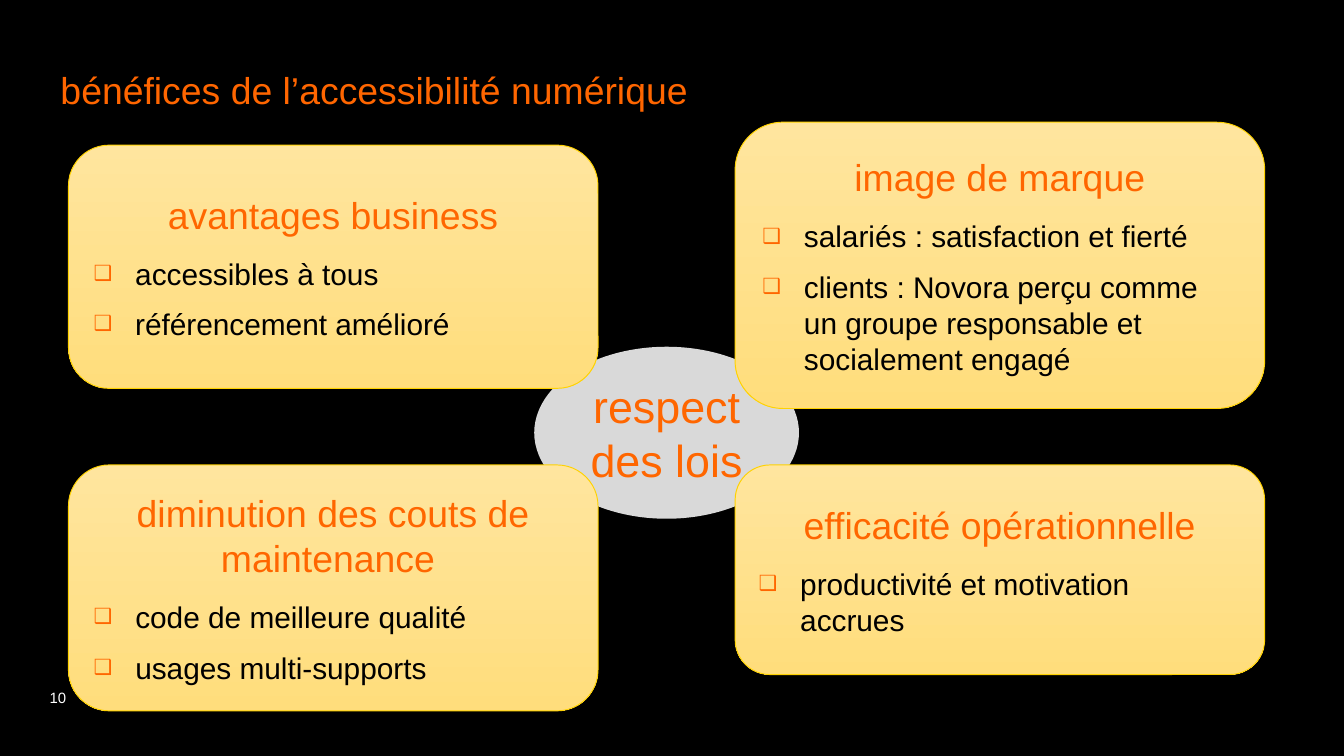
from dataclasses import dataclass

from lxml import etree
from pptx import Presentation
from pptx.dml.color import RGBColor
from pptx.enum.shapes import MSO_SHAPE
from pptx.enum.text import MSO_ANCHOR, MSO_AUTO_SIZE, PP_ALIGN
from pptx.oxml.ns import qn
from pptx.util import Inches, Pt

TITLE = "bénéfices de l’accessibilité numérique"
CENTER = "respect des lois"
PAGE_NUMBER = "10"

# column, top, height, heading, bullets
CARDS = [
    (0, 1.08, 1.81, "avantages business",
     ["accessibles à tous", "référencement amélioré"]),
    (0, 3.46, 1.83, "diminution des couts de maintenance ",
     ["code de meilleure qualité", "usages multi-supports"]),
    (1, 0.91, 2.13, "image de marque",
     ["salariés : satisfaction et fierté",
      "clients : Novora perçu comme un groupe responsable et socialement engagé"]),
    (1, 3.46, 1.56, "efficacité opérationnelle",
     ["productivité et motivation accrues"]),
]


@dataclass(frozen=True)
class Theme:
    font: str = "Arial"
    background: str = "000000"
    accent: str = "FF6600"
    body: str = "000000"
    number: str = "FFFFFF"
    oval: str = "D9D9D9"
    card_top: str = "FFE59E"
    card_bottom: str = "FFDD7C"
    card_line: str = "FFD200"
    center_size: int = 24
    heading_size: int = 20
    body_size: int = 16
    number_size: int = 8


THEME = Theme()
SLIDE_W = 10
SLIDE_H = SLIDE_W * 9 / 16
CARD_LEFT, CARD_W, COLUMN_STEP = 0.51, 3.94, 4.96
OVAL_W, OVAL_H = 1.97, 1.28
OVAL_LEFT = CARD_LEFT + (COLUMN_STEP + CARD_W - OVAL_W) / 2
BULLET_INDENT = 0.31


def rgb(value):
    return RGBColor.from_string(value)


def style(p, size, color, align=PP_ALIGN.LEFT):
    p.alignment = align
    p.font.name = THEME.font
    p.font.size = Pt(size)
    p.font.color.rgb = rgb(color)


def add_bullet(p):
    """Give the paragraph a hanging, accent-coloured box bullet."""
    pPr = p._p.get_or_add_pPr()
    pPr.set("marL", str(Inches(BULLET_INDENT)))
    pPr.set("indent", str(-Inches(BULLET_INDENT)))
    color = etree.Element(qn("a:buClr"))
    etree.SubElement(color, qn("a:srgbClr"), val=THEME.accent)
    size = etree.Element(qn("a:buSzPct"), val="70000")
    font = etree.Element(qn("a:buFont"), typeface=THEME.font)
    char = etree.Element(qn("a:buChar"), char="❑")
    # Bullet elements come after the spacing and before the run defaults.
    position = len(pPr.findall(qn("a:spcAft")))
    for offset, element in enumerate((color, size, font, char)):
        pPr.insert(position + offset, element)


def add_shape(slide, kind, left, top, width, height):
    sp = slide.shapes.add_shape(
        kind, Inches(left), Inches(top), Inches(width), Inches(height))
    sp.shadow.inherit = False
    sp.text_frame.word_wrap = True
    sp.text_frame.vertical_anchor = MSO_ANCHOR.MIDDLE
    return sp


def add_title(slide):
    title = slide.shapes.title
    title.left, title.top = Inches(0.35), Inches(0.45)
    title.width, title.height = Inches(8.83), Inches(0.44)
    tf = title.text_frame
    tf.text = TITLE
    tf.vertical_anchor = MSO_ANCHOR.TOP
    tf.auto_size = MSO_AUTO_SIZE.SHAPE_TO_FIT_TEXT
    p = tf.paragraphs[0]
    p.line_spacing = 1.0
    p.space_before = Pt(0)
    style(p, THEME.heading_size, THEME.accent)


def add_page_number(slide):
    box = slide.shapes.add_textbox(
        Inches(0.37), Inches(4.89), Inches(0.3), Inches(0.37))
    tf = box.text_frame
    tf.margin_left = tf.margin_right = tf.margin_top = tf.margin_bottom = 0
    tf.word_wrap = True
    tf.vertical_anchor = MSO_ANCHOR.BOTTOM
    p = tf.paragraphs[0]
    p.text = PAGE_NUMBER
    p.line_spacing = 0.85
    style(p, THEME.number_size, THEME.number)


def add_center(slide):
    oval = add_shape(slide, MSO_SHAPE.OVAL, OVAL_LEFT, 2.58, OVAL_W, OVAL_H)
    oval.fill.solid()
    oval.fill.fore_color.rgb = rgb(THEME.oval)
    oval.line.fill.background()
    p = oval.text_frame.paragraphs[0]
    p.text = CENTER
    style(p, THEME.center_size, THEME.accent, PP_ALIGN.CENTER)


def add_card(slide, column, top, height, heading, bullets):
    card = add_shape(slide, MSO_SHAPE.ROUNDED_RECTANGLE,
                     CARD_LEFT + column * COLUMN_STEP, top, CARD_W, height)
    card.fill.gradient()
    card.fill.gradient_angle = 270
    for stop, color in zip(card.fill.gradient_stops,
                           (THEME.card_top, THEME.card_bottom)):
        stop.color.rgb = rgb(color)
    card.line.color.rgb = rgb(THEME.card_line)
    card.line.width = Pt(0.5)

    tf = card.text_frame
    p = tf.paragraphs[0]
    p.text = heading
    p.space_after = Pt(THEME.heading_size / 2)
    style(p, THEME.heading_size, THEME.accent, PP_ALIGN.CENTER)
    for text in bullets:
        p = tf.add_paragraph()
        p.text = text
        p.space_after = Pt(THEME.body_size / 2)
        style(p, THEME.body_size, THEME.body)
        add_bullet(p)


def main():
    prs = Presentation()
    prs.slide_width, prs.slide_height = Inches(SLIDE_W), Inches(SLIDE_H)
    slide = prs.slides.add_slide(prs.slide_layouts[5])
    slide.background.fill.solid()
    slide.background.fill.fore_color.rgb = rgb(THEME.background)
    add_title(slide)
    add_page_number(slide)
    add_center(slide)
    for card in CARDS:
        add_card(slide, *card)
    prs.save("out.pptx")


if __name__ == "__main__":
    main()
